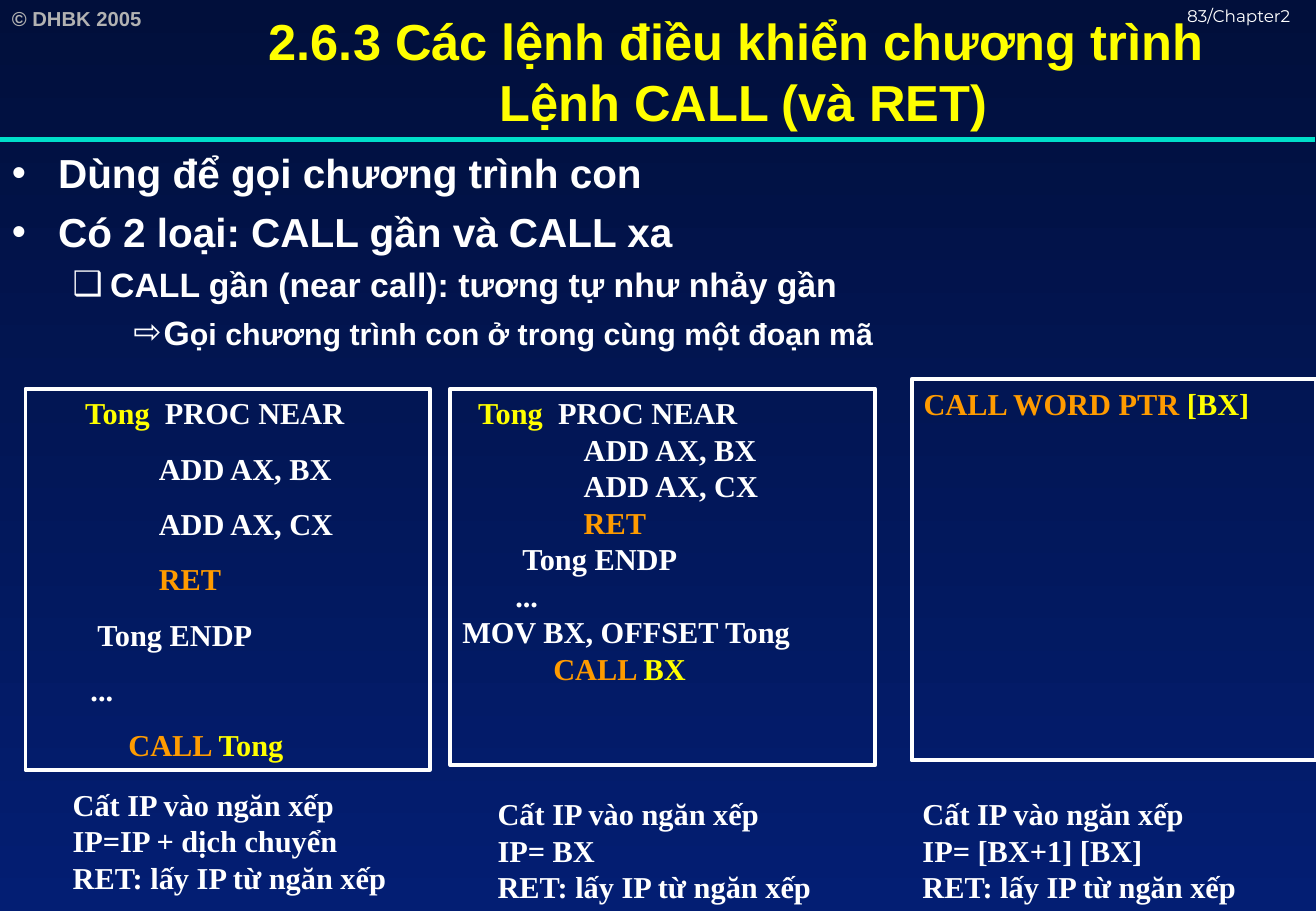
"""Build the slide on the CALL and RET instructions."""
from dataclasses import dataclass

from lxml.etree import SubElement
from pptx import Presentation
from pptx.dml.color import RGBColor
from pptx.enum.shapes import MSO_CONNECTOR, MSO_SHAPE
from pptx.enum.text import MSO_ANCHOR, MSO_AUTO_SIZE, PP_ALIGN
from pptx.oxml.ns import qn
from pptx.util import Emu, Pt

EMU_PER_PX = 9144
WHITE = RGBColor(0xFF, 0xFF, 0xFF)
YELLOW = RGBColor(0xFF, 0xFF, 0x00)
ORANGE = RGBColor(0xFF, 0x9B, 0x00)
GREY = RGBColor(0xB2, 0xB2, 0xB2)
TEAL = RGBColor(0x00, 0xDF, 0xCA)
NIGHT = RGBColor(0x01, 0x0F, 0x3B)
NAVY = RGBColor(0x03, 0x1E, 0x73)
SANS, SERIF, LIGHT = "Arial", "Times New Roman", "Montserrat"
TAB_STOP = 100


@dataclass(frozen=True)
class Span:
    text: str
    color: RGBColor = WHITE
    font: str = SERIF
    size: int = 18
    bold: bool = True


@dataclass(frozen=True)
class Area:
    left: int
    top: int
    width: int
    height: int


@dataclass(frozen=True)
class Bullet:
    mark: str
    margin: int
    hanging: int
    before: float
    spans: tuple[Span, ...]


@dataclass(frozen=True)
class CodePanel:
    area: Area
    before: float
    lines: tuple[tuple[Span, ...], ...]


@dataclass(frozen=True)
class Caption:
    left: int
    top: int
    formula: str


def px(length: int) -> Emu:
    return Emu(length * EMU_PER_PX)


def bounds(area: Area) -> tuple[Emu, Emu, Emu, Emu]:
    return px(area.left), px(area.top), px(area.width), px(area.height)


def indent(size: int) -> Span:
    return Span(" " * size, font=LIGHT, bold=False)


def proc_lines(margin: int) -> tuple[tuple[Span, ...], ...]:
    return (
        (indent(margin), Span("Tong", YELLOW), Span("  PROC NEAR")),
        (Span("\tADD AX, BX"),),
        (Span("\tADD AX, CX"),),
        (Span("     \t"), Span("RET", ORANGE)),
        (Span("        Tong ENDP"),),
        (Span("       ..."),),
    )


def call_line(target: str) -> tuple[Span, ...]:
    return Span("            "), Span("CALL ", ORANGE), Span(target, YELLOW)


HEADING = ("2.6.3 Các lệnh điều khiển chương trình ", "Lệnh CALL (và RET)")
BULLETS = (
    Bullet("•", 38, 38, 6, (Span("Dùng để gọi chương trình con", font=SANS, size=24),)),
    Bullet("•", 38, 38, 6, (Span("Có 2 loại: CALL gần và CALL xa", font=SANS, size=24),)),
    Bullet("❑", 81, 31, 5,
           (Span("CALL gần (near call): tương tự như nhảy gần", font=SANS, size=20),)),
    Bullet("⇨", 125, 25, 4.5,
           (Span("G", font=SANS, size=20),
            Span("ọi chương trình con ở trong cùng một đoạn mã", font=SANS))),
)
PANELS = (
    CodePanel(Area(21, 320, 333, 314), 11.2, (*proc_lines(6), call_line("Tong"))),
    CodePanel(Area(371, 320, 350, 310), 0,
              (*proc_lines(2), (Span("MOV BX, OFFSET Tong"),), call_line("BX"))),
    CodePanel(Area(751, 312, 333, 314), 0,
              ((Span("CALL WORD PTR ", ORANGE), Span("[BX]", YELLOW)),)),
)
CAPTIONS = (
    Caption(50, 642, "IP=IP + dịch chuyển"),
    Caption(400, 650, "IP= BX"),
    Caption(750, 650, "IP= [BX+1] [BX]"),
)


def add_span(para, span: Span) -> None:
    run = para.add_run()
    run.text = span.text
    run.font.name = span.font
    run.font.size = Pt(span.size)
    run.font.bold = span.bold
    run.font.color.rgb = span.color


def write_lines(frame, lines: tuple[tuple[Span, ...], ...], before: float = 0) -> None:
    for number, spans in enumerate(lines):
        para = frame.add_paragraph() if number else frame.paragraphs[0]
        para.alignment = PP_ALIGN.LEFT
        if number and before:
            para.space_before = Pt(before)
        if any("\t" in span.text for span in spans):
            tabs = SubElement(para._p.get_or_add_pPr(), qn("a:tabLst"))
            SubElement(tabs, qn("a:tab"), pos=str(px(TAB_STOP)), algn="l")
        for span in spans:
            add_span(para, span)


def add_text(page, area: Area, lines: tuple[tuple[Span, ...], ...], wrap: bool = True) -> None:
    frame = page.shapes.add_textbox(*bounds(area)).text_frame
    frame.word_wrap = wrap
    write_lines(frame, lines)


def paint_background(page) -> None:
    fill = page.background.fill
    fill.gradient()
    fill.gradient_angle = 270
    for stop, position, color in zip(fill.gradient_stops, (0, 1), (NIGHT, NAVY)):
        stop.position = position
        stop.color.rgb = color


def add_divider(page) -> None:
    line = page.shapes.add_connector(MSO_CONNECTOR.STRAIGHT, px(0), px(115), px(1083), px(115))
    line.line.color.rgb = TEAL
    line.line.width = Pt(3)
    SubElement(line._element.spPr, qn("a:effectLst"))


def fill_title(page) -> None:
    title = page.shapes.title
    title.left, title.top, title.width, title.height = bounds(Area(141, 0, 943, 117))
    frame = title.text_frame
    frame.auto_size = MSO_AUTO_SIZE.NONE
    frame.vertical_anchor = MSO_ANCHOR.MIDDLE
    para = frame.paragraphs[0]
    para.alignment = PP_ALIGN.CENTER
    for number, text in enumerate(HEADING):
        if number:
            para.add_line_break()
        add_span(para, Span(text, YELLOW, SANS, 30))


def add_bullets(page) -> None:
    frame = page.shapes.add_textbox(*bounds(Area(0, 117, 1083, 190))).text_frame
    frame.word_wrap = True
    for number, bullet in enumerate(BULLETS):
        para = frame.add_paragraph() if number else frame.paragraphs[0]
        if number:
            para.space_before = Pt(bullet.before)
        properties = para._p.get_or_add_pPr()
        properties.set("marL", str(px(bullet.margin)))
        properties.set("indent", str(-px(bullet.hanging)))
        color = SubElement(properties, qn("a:buClr"))
        SubElement(color, qn("a:srgbClr"), val=str(WHITE))
        SubElement(properties, qn("a:buFont"), typeface=SANS)
        SubElement(properties, qn("a:buChar"), char=bullet.mark)
        for span in bullet.spans:
            add_span(para, span)


def add_panel(page, panel: CodePanel) -> None:
    box = page.shapes.add_shape(MSO_SHAPE.RECTANGLE, *bounds(panel.area))
    box.shadow.inherit = False
    box.fill.background()
    box.line.color.rgb = WHITE
    box.line.width = Pt(2.25)
    box.text_frame.vertical_anchor = MSO_ANCHOR.TOP
    write_lines(box.text_frame, panel.lines, panel.before)


def main() -> None:
    deck = Presentation()
    deck.slide_width, deck.slide_height = px(1084), px(750)
    page = deck.slides.add_slide(deck.slide_layouts[5])
    paint_background(page)
    add_text(page, Area(0, 0, 157, 30), ((Span("© DHBK 2005", GREY, SANS, 12),),))
    add_divider(page)
    add_text(page, Area(968, 0, 158, 25), ((Span("83/Chapter2", WHITE, LIGHT, 10, False),),))
    fill_title(page)
    add_bullets(page)
    for panel in PANELS:
        add_panel(page, panel)
    for caption in CAPTIONS:
        texts = ("Cất IP vào ngăn xếp", caption.formula, "RET: lấy IP từ ngăn xếp")
        add_text(page, Area(caption.left, caption.top, 281, 100),
                 tuple((Span(text),) for text in texts), wrap=False)
    deck.save("out.pptx")


if __name__ == "__main__":
    main()
